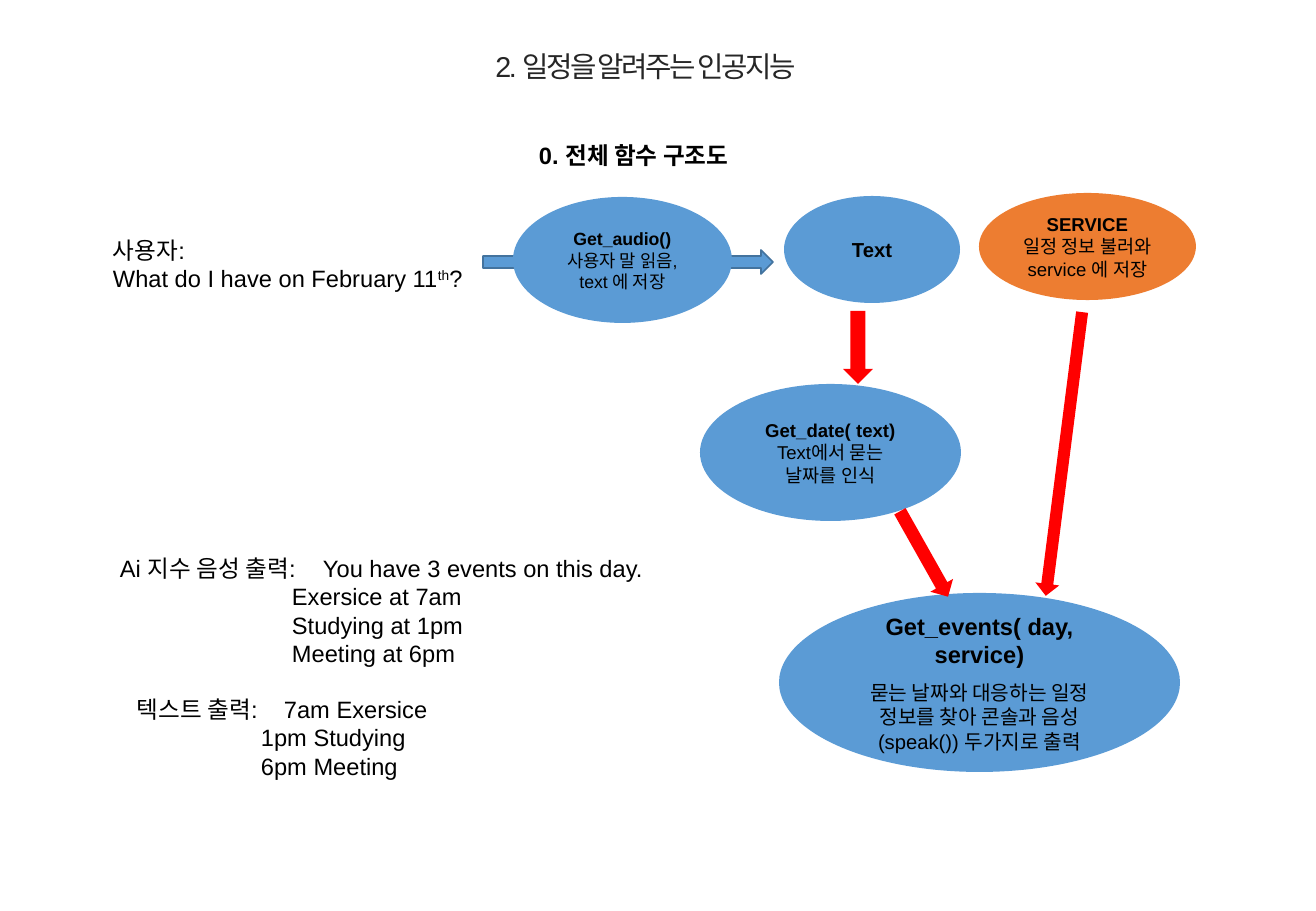
from pptx import Presentation
from pptx import util as u
from pptx.dml.color import RGBColor
from pptx.enum import shapes, text
from pptx.oxml.xmlchemy import OxmlElement

SCALE = 914400 / 121.5
BLUE, ORANGE, RED, BLACK = "5B9BD5", "ED7D31", "FF0000", "000000"
LEFT, MID = text.PP_ALIGN.LEFT, text.PP_ALIGN.CENTER


def px(n):
    return u.Emu(round(n * SCALE))


def paint(target, color):
    """Give a solid fill, or a font, the hex color."""
    if hasattr(target, "solid"):
        target.solid()
        target = target.fore_color
    else:
        target = target.color
    target.rgb = RGBColor.from_string(color)


def add_tab(para, pos):
    tabs = OxmlElement("a:tabLst")
    stop = OxmlElement("a:tab")
    stop.set("pos", str(px(pos)))
    stop.set("algn", "l")
    tabs.append(stop)
    para._p.get_or_add_pPr().append(tabs)


def write(frame, lines, size=14, head=None, bold=False, color=BLACK,
          align=LEFT, gap=0, indent=0, tab=0, track=0):
    """Write lines; head and bold format the first, gap and indent the rest.

    Text between two ^ marks is raised.
    """
    frame.word_wrap = True
    for i, line in enumerate(lines):
        para = frame.paragraphs[0] if i == 0 else frame.add_paragraph()
        para.alignment = align
        if i and gap:
            para.space_before = u.Pt(gap)
        if i and indent:
            para._p.get_or_add_pPr().set("marL", str(px(indent)))
        if i == 0 and tab:
            add_tab(para, tab)
        for j, part in enumerate(line.split("^")):
            run = para.add_run()
            run.text = part
            font = run.font
            font.name = "Arial"
            font.size = u.Pt(head if head and i == 0 else size)
            font.bold = bold and i == 0
            paint(font, color)
            if j % 2:
                font._element.set("baseline", "30000")
            if track:
                font._element.set("spc", str(track))


def add_title(slide, box, line):
    title = slide.shapes.title
    title.left, title.top, title.width, title.height = map(px, box)
    frame = title.text_frame
    frame.auto_size = text.MSO_AUTO_SIZE.NONE
    frame.vertical_anchor = text.MSO_ANCHOR.MIDDLE
    write(frame, [line], size=17, color="262626", align=MID, track=-150)


def add_note(slide, box, lines, **style):
    note = slide.shapes.add_textbox(*map(px, box))
    write(note.text_frame, lines, **style)


def add_form(slide, kind, box, color):
    form = slide.shapes.add_shape(kind, *map(px, box))
    form.shadow.inherit = False
    paint(form.fill, color)
    form.line.fill.background()
    return form


def add_node(slide, box, lines, color=BLUE, **style):
    node = add_form(slide, shapes.MSO_SHAPE.OVAL, box, color)
    node.text_frame.vertical_anchor = text.MSO_ANCHOR.MIDDLE
    write(node.text_frame, lines, bold=True, align=MID, **style)


def add_arrow(slide, box, turn=0, color=RED, edge=None):
    arrow = add_form(slide, shapes.MSO_SHAPE.DOWN_ARROW, box, color)
    arrow.rotation = turn
    if edge:
        paint(arrow.line.fill, edge)
        arrow.line.width = u.Pt(1)


def main():
    deck = Presentation()
    deck.slide_width, deck.slide_height = px(1316), px(911)
    slide = deck.slides.add_slide(deck.slide_layouts[5])

    add_title(slide, (381, 43, 529, 47), "2. 일정을 알려주는 인공지능")
    add_note(slide, (527, 135, 358, 41), ["0. 전체 함수 구조도"], bold=True)
    add_note(slide, (101, 230, 401, 69),
             ["사용자:", "What do I have on February 11^th^?"])
    add_note(slide, (108, 548, 571, 126),
             ["Ai 지수 음성 출력:\tYou have 3 events on this day.",
              "Exersice at 7am", "Studying at 1pm", "Meeting at 6pm"],
             indent=172, tab=203)
    add_note(slide, (125, 689, 401, 98),
             ["텍스트 출력:\t7am Exersice", "1pm Studying", "6pm Meeting"],
             indent=124, tab=147)

    add_arrow(slide, (616, 117, 24, 290), 270, BLUE, edge="43739E")
    add_node(slide, (784, 196, 176, 107), ["Text"], size=12)
    add_node(slide, (979, 193, 217, 107),
             ["SERVICE", "일정 정보 불러와 service 에 저장"],
             color=ORANGE, size=11)
    add_node(slide, (700, 384, 261, 137),
             ["Get_date( text)", "Text에서 묻는 날짜를 인식"], size=11)
    add_node(slide, (513, 197, 219, 126),
             ["Get_audio()", "사용자 말 읽음, text 에 저장"], size=10.5)
    add_node(slide, (779, 593, 401, 179),
             ["Get_events( day, service)",
              "묻는 날짜와 대응하는 일정 정보를 찾아 콘솔과 음성 "
              "(speak()) 두가지로 출력"],
             size=12, head=14, gap=7)

    add_arrow(slide, (843, 311, 30, 73))
    add_arrow(slide, (911, 505, 26, 98), 330.6)
    add_arrow(slide, (1052, 311, 24, 286), 7.3)

    deck.save("out.pptx")


if __name__ == "__main__":
    main()
